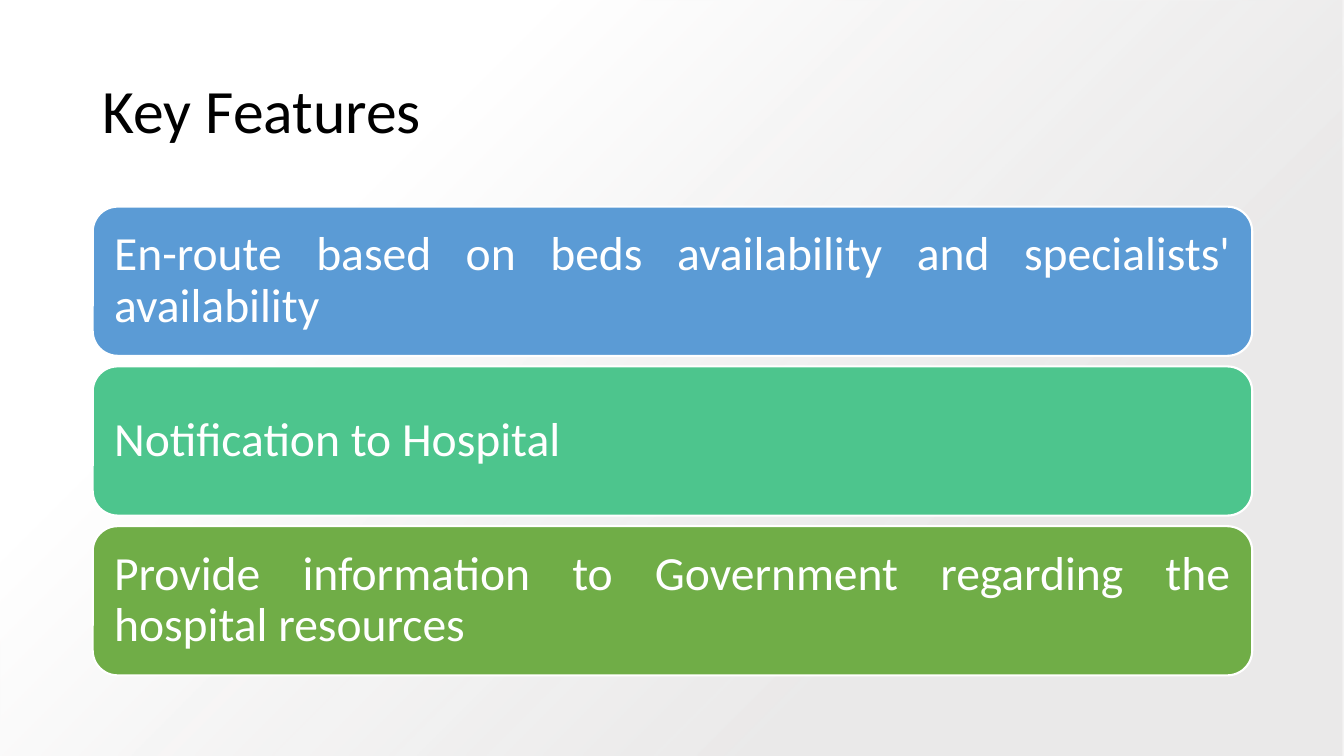
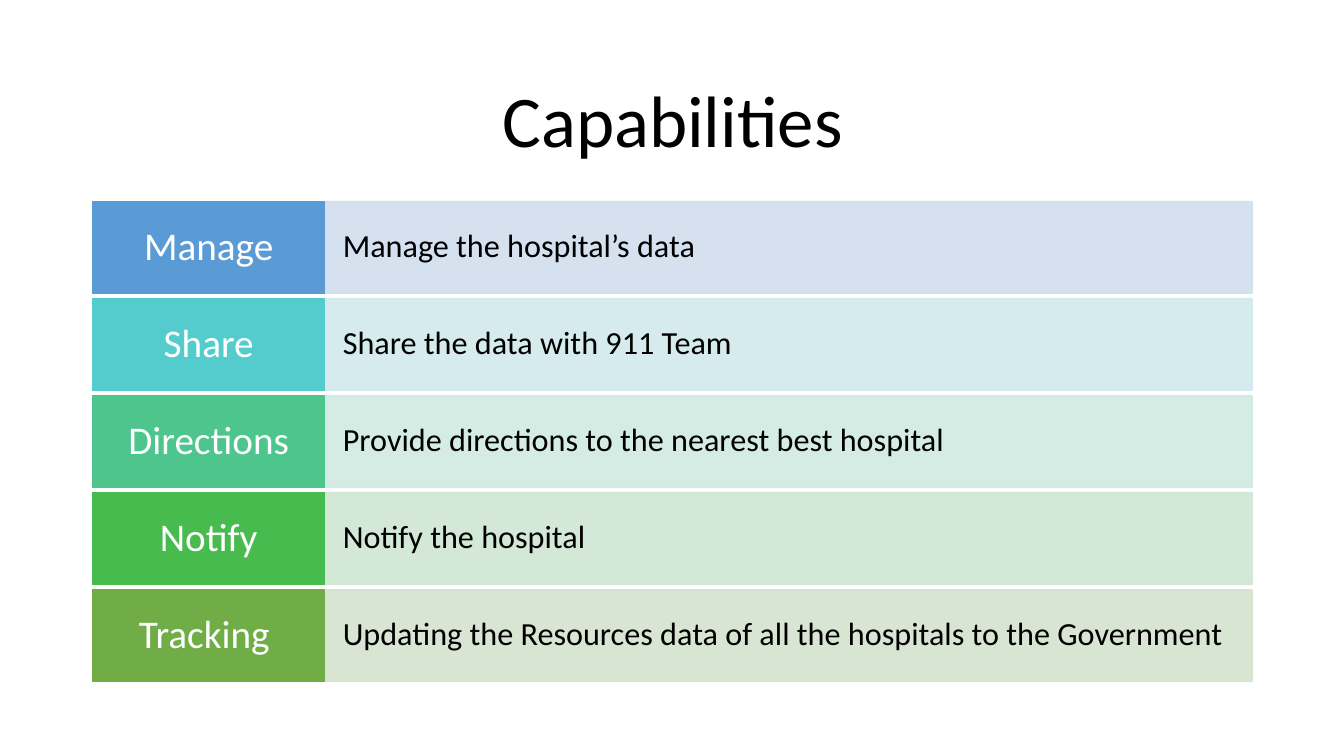
from dataclasses import dataclass
from typing import NamedTuple

from lxml import etree
from pptx import Presentation
from pptx import slide as sl
from pptx import util as u
from pptx.dml import color as dml
from pptx.enum import shapes, text
from pptx.oxml import ns
from pptx.shapes import autoshape as auto
from pptx.text import text as tx


@dataclass(frozen=True)
class Theme:
    font: str = "Calibri"
    white: str = "FFFFFF"
    black: str = "000000"
    gray: str = "E7E6E6"
    blue: str = "5B9BD5"
    aqua: str = "54CCCD"
    mint: str = "4DC58D"
    green: str = "48BB4F"
    olive: str = "70AD47"
    bar_size: int = 34
    head_size: int = 28
    body_size: int = 23
    spacing: float = 0.9


class Box(NamedTuple):
    left: float
    top: float
    width: float
    height: float


class Style(NamedTuple):
    size: int
    color: str
    align: text.PP_ALIGN
    pad_x: float = 0.1
    pad_y: float = 0.05


class Bar(NamedTuple):
    words: str
    color: str


class Row(NamedTuple):
    head: str
    body: str
    color: str
    tint: str


THEME = Theme()
WIDTH, HEIGHT = 13.33, 7.5
LEFT, SPAN = 0.92, 11.5
HEAD_W = 2.3

BARS = [
    Bar("En-route based on beds availability and specialists' availability", THEME.blue),
    Bar("Notification to Hospital", THEME.mint),
    Bar("Provide information to Government regarding the hospital resources", THEME.olive),
]
ROWS = [
    Row("Manage", "Manage the hospital’s data", THEME.blue, "D2DEEF"),
    Row("Share", "Share the data with 911 Team", THEME.aqua, "D1E9ED"),
    Row("Directions", "Provide directions to the nearest best hospital", THEME.mint, "D0EAE1"),
    Row("Notify", "Notify the hospital", THEME.green, "D0E6D4"),
    Row("Tracking ", "Updating the Resources data of all the hospitals to the Government",
        THEME.olive, "D5E3CF"),
]
BAR_TEXT = Style(THEME.bar_size, THEME.white, text.PP_ALIGN.JUSTIFY, 0.14, 0.14)
HEAD_TEXT = Style(THEME.head_size, THEME.white, text.PP_ALIGN.CENTER, 0.12, 0.09)
BODY_TEXT = Style(THEME.body_size, THEME.black, text.PP_ALIGN.LEFT, 0.18, 0.23)


def rgb(code: str) -> dml.RGBColor:
    return dml.RGBColor.from_string(code)


def place(box: Box) -> list[u.Length]:
    return [u.Inches(side) for side in box]


def stack(first: float, last: float, tall: float, count: int) -> list[float]:
    """Tops of equal blocks with equal gaps between first and last."""
    step = (last - first - tall) / (count - 1)
    return [first + i * step for i in range(count)]


def fade(color: etree.ElementBase, percent: int) -> None:
    etree.SubElement(color, ns.qn("a:alpha"), val=str(percent * 1000))


# Text
def write(frame: tx.TextFrame, words: str, style: Style) -> None:
    frame.word_wrap = True
    frame.vertical_anchor = text.MSO_ANCHOR.MIDDLE
    frame.margin_left = frame.margin_right = u.Inches(style.pad_x)
    frame.margin_top = frame.margin_bottom = u.Inches(style.pad_y)
    para = frame.paragraphs[0]
    para.alignment = style.align
    para.line_spacing = THEME.spacing
    run = para.add_run()
    run.text = words
    run.font.name = THEME.font
    run.font.size = u.Pt(style.size)
    run.font.color.rgb = rgb(style.color)


def title(page: sl.Slide, words: str, box: Box, size: int, align: text.PP_ALIGN) -> None:
    frame = page.shapes.add_textbox(*place(box)).text_frame
    write(frame, words, Style(size, THEME.black, align))


# Filled blocks
def block(page: sl.Slide, kind: shapes.MSO_SHAPE, box: Box, fill: str,
          line: str, weight: float) -> auto.Shape:
    shape = page.shapes.add_shape(kind, *place(box))
    shape.shadow.inherit = False
    shape.fill.solid()
    shape.fill.fore_color.rgb = rgb(fill)
    shape.line.color.rgb = rgb(line)
    shape.line.width = u.Pt(weight)
    return shape


def cell(page: sl.Slide, box: Box, color: str, words: str, style: Style) -> auto.Shape:
    shape = block(page, shapes.MSO_SHAPE.RECTANGLE, box, color, color, 1)
    write(shape.text_frame, words, style)
    return shape


# Radial backdrop, centred on the lower right corner
def backdrop(page: sl.Slide) -> None:
    shape = page.shapes.add_shape(shapes.MSO_SHAPE.RECTANGLE,
                                  *place(Box(0, 0, WIDTH, HEIGHT)))
    shape.shadow.inherit = False
    shape.line.fill.background()
    shape.fill.gradient()
    stops = shape.fill.gradient_stops
    for stop, color, spot in zip(stops, (THEME.gray, THEME.white), (0.28, 0.74)):
        stop.color.rgb = rgb(color)
        stop.position = spot
    grad = shape.element.spPr.find(ns.qn("a:gradFill"))
    fade(next(grad.iter(ns.qn("a:srgbClr"))), 84)
    grad.remove(grad.find(ns.qn("a:lin")))
    ring = etree.SubElement(grad, ns.qn("a:path"), {"path": "circle"})
    etree.SubElement(ring, ns.qn("a:fillToRect"), l="100000", t="100000")


# Slides
def features(page: sl.Slide) -> None:
    backdrop(page)
    title(page, "Key Features", Box(LEFT, 0.4, SPAN, 1.45), 44, text.PP_ALIGN.LEFT)
    tall = 1.48
    for bar, top in zip(BARS, stack(2.05, 6.7, tall, len(BARS))):
        shape = block(page, shapes.MSO_SHAPE.ROUNDED_RECTANGLE,
                      Box(LEFT, top, SPAN, tall), bar.color, THEME.white, 1.5)
        write(shape.text_frame, bar.words, BAR_TEXT)


def skills(page: sl.Slide) -> None:
    title(page, "Capabilities", Box(LEFT, 0.61, SPAN, 1.24), 52, text.PP_ALIGN.CENTER)
    tall = 0.91
    for row, top in zip(ROWS, stack(2, 6.76, tall, len(ROWS))):
        body = cell(page, Box(LEFT + HEAD_W, top, SPAN - HEAD_W, tall),
                    row.tint, row.body, BODY_TEXT)
        for color in body.element.spPr.iter(ns.qn("a:srgbClr")):
            fade(color, 90)
        cell(page, Box(LEFT, top, HEAD_W, tall), row.color, row.head, HEAD_TEXT)


def main() -> None:
    deck = Presentation()
    deck.slide_width, deck.slide_height = u.Inches(WIDTH), u.Inches(HEIGHT)
    for draw in (features, skills):
        draw(deck.slides.add_slide(deck.slide_layouts[6]))
    deck.save("out.pptx")


if __name__ == "__main__":
    main()
